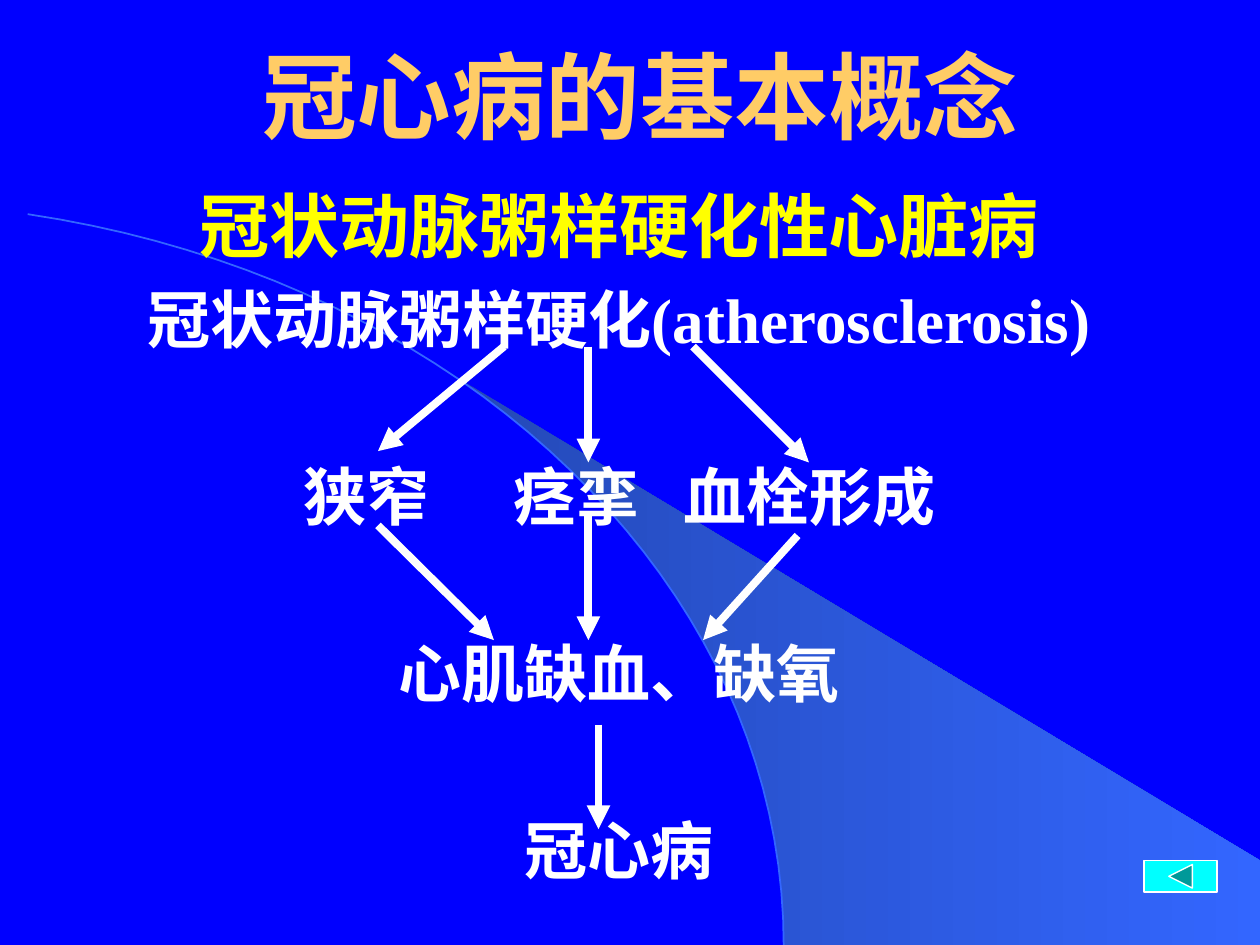
from lxml import etree
from pptx import Presentation
from pptx.dml.color import RGBColor
from pptx.enum.shapes import MSO_CONNECTOR, MSO_SHAPE
from pptx.enum.text import MSO_ANCHOR, MSO_AUTO_SIZE, PP_ALIGN
from pptx.oxml.ns import qn
from pptx.util import Inches, Pt

CENTER, LEFT = PP_ALIGN.CENTER, PP_ALIGN.LEFT
BACK_BUTTON = MSO_SHAPE.ACTION_BUTTON_BACK_OR_PREVIOUS
STRAIGHT = MSO_CONNECTOR.STRAIGHT

COLORS = {
    "background": "0000FF",
    "title": "FFCC66",
    "subtitle": "FFFF00",
    "text": "FFFFFF",
    "wedge_dark": "2449B6",
    "wedge_light": "3366FF",
    "button": "00FFFF",
}

ARC_CONTROLS = [(0.22, 1.7), (3.7, 2.22), (6.22, 4.66), (6.22, 7.5)]
WEDGE_START = 0.365  # where the wedge leaves the arc
ARC_STEPS = 40

CAUSE_TABS = [1.48, 3.15, 4.5]
ROW_GAP = 58

ARROWS = [
    ((4, 2.75), (3, 3.58)),
    ((4.67, 2.75), (4.67, 3.67)),
    ((5.5, 2.75), (6.42, 3.67)),
    ((3, 4.17), (3.92, 5.08)),
    ((4.67, 4.08), (4.67, 5.08)),
    ((6.33, 4.25), (5.58, 5.08)),
    ((4.75, 5.75), (4.75, 6.58)),
]


def color(name):
    return RGBColor.from_string(COLORS[name])


def arc_points(start=0):
    """Points of the cubic background arc from parameter start to its end."""
    points = []
    for step in range(ARC_STEPS + 1):
        t = start + (1 - start) * step / ARC_STEPS
        weights = ((1 - t) ** 3, 3 * (1 - t) ** 2 * t, 3 * (1 - t) * t**2, t**3)
        points.append(tuple(
            sum(w * p[axis] for w, p in zip(weights, ARC_CONTROLS))
            for axis in (0, 1)
        ))
    return points


def add_outline(slide, points, close):
    points = [(Inches(x), Inches(y)) for x, y in points]
    builder = slide.shapes.build_freeform(*points[0])
    builder.add_line_segments(points[1:], close=close)
    shape = builder.convert_to_shape()
    shape.shadow.inherit = False
    return shape


def add_backdrop(slide):
    wedge = add_outline(slide, arc_points(WEDGE_START) + [(10, 7.5), (10, 6.83)], True)
    wedge.line.fill.background()
    wedge.fill.gradient()
    wedge.fill.gradient_angle = 0
    for stop, name in zip(wedge.fill.gradient_stops, ("wedge_dark", "wedge_light")):
        stop.color.rgb = color(name)

    arc = add_outline(slide, arc_points(), False)
    arc.fill.background()
    arc.line.color.rgb = color("wedge_light")
    arc.line.width = Pt(1)


def set_tabs(paragraph, stops):
    tabs = etree.SubElement(paragraph._p.get_or_add_pPr(), qn("a:tabLst"))
    for stop in stops:
        etree.SubElement(tabs, qn("a:tab"), pos=str(Inches(stop)), algn="l")


def write(paragraph, text, size=36, fill="text", font="Times New Roman",
          align=CENTER, before=0, tabs=()):
    if tabs:
        set_tabs(paragraph, tabs)
    paragraph.alignment = align
    paragraph.space_before = Pt(before)
    span = paragraph.add_run()
    span.text = text
    span.font.size = Pt(size)
    span.font.bold = True
    span.font.name = font
    span.font.color.rgb = color(fill)


def add_title(slide):
    title = slide.shapes.title
    title.left, title.top = Inches(0.83), Inches(0.25)
    title.width, title.height = Inches(8.5), Inches(1)
    frame = title.text_frame
    frame.auto_size = MSO_AUTO_SIZE.NONE
    frame.vertical_anchor = MSO_ANCHOR.BOTTOM
    write(frame.paragraphs[0], "冠心病的基本概念", size=54, fill="title", font="Arial")


def add_concepts(slide):
    box = slide.shapes.add_textbox(Inches(0.83), Inches(1.33), Inches(8.17), Inches(5.83))
    frame = box.text_frame
    frame.word_wrap = True
    frame.vertical_anchor = MSO_ANCHOR.MIDDLE
    write(frame.paragraphs[0], "冠状动脉粥样硬化性心脏病", size=40, fill="subtitle")
    write(frame.add_paragraph(), "冠状动脉粥样硬化(atherosclerosis)", before=8)
    write(frame.add_paragraph(), "\t狭窄\t痉挛\t血栓形成",
          align=LEFT, before=ROW_GAP, tabs=CAUSE_TABS)
    for text in ("心肌缺血、缺氧", "冠心病"):
        write(frame.add_paragraph(), text, before=ROW_GAP)


def add_arrow(slide, start, end):
    arrow = slide.shapes.add_connector(STRAIGHT, *map(Inches, start + end))
    arrow.line.color.rgb = color("text")
    arrow.line.width = Pt(4.5)
    etree.SubElement(arrow.line._get_or_add_ln(), qn("a:tailEnd"), type="triangle")
    etree.SubElement(arrow._element.spPr, qn("a:effectLst"))


def add_back_button(slide):
    button = slide.shapes.add_shape(
        BACK_BUTTON, Inches(9.08), Inches(6.83), Inches(0.58), Inches(0.25))
    button.shadow.inherit = False
    button.fill.solid()
    button.fill.fore_color.rgb = color("button")
    button.line.color.rgb = color("text")
    button.line.width = Pt(0.75)


def main():
    deck = Presentation()
    deck.slide_width, deck.slide_height = Inches(10), Inches(7.5)
    slide = deck.slides.add_slide(deck.slide_layouts[5])
    slide.background.fill.solid()
    slide.background.fill.fore_color.rgb = color("background")
    add_backdrop(slide)
    add_title(slide)
    add_concepts(slide)
    for start, end in ARROWS:
        add_arrow(slide, start, end)
    add_back_button(slide)
    deck.save("out.pptx")


if __name__ == "__main__":
    main()
